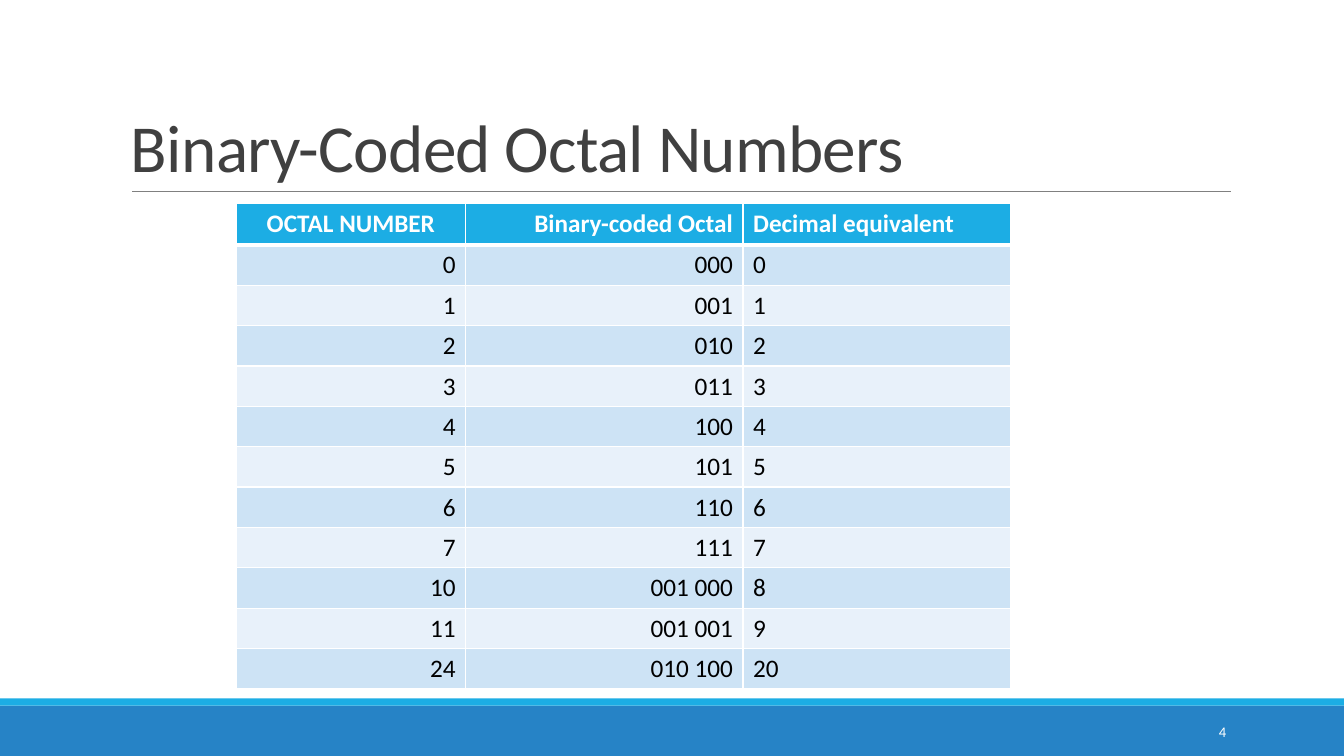
from lxml.etree import SubElement as Sub
from pptx import Presentation
from pptx.dml.color import RGBColor
from pptx.enum.shapes import MSO_CONNECTOR as Conn, MSO_SHAPE as Shape
from pptx.enum.text import MSO_ANCHOR as Anchor, PP_ALIGN as Align
from pptx.oxml.ns import qn
from pptx.util import Inches, Pt


def color(code):
    """Turn a hex string into a colour."""
    return RGBColor.from_string(code)


def write(frame, text, size=18, fill="000000", bold=False, align=Align.LEFT, space=None, lead=None):
    """Put formatted text into a text frame."""
    para = frame.paragraphs[0]
    para.alignment = align
    if lead:
        para.line_spacing = lead
    run = para.add_run()
    run.text = text
    font = run.font
    font.name, font.size, font.bold = "Calibri", Pt(size), bold
    font.color.rgb = color(fill)
    if space:
        run._r.get_or_add_rPr().set("spc", str(int(space * 100)))


def edge(cell, side, width):
    """Draw one white border of a table cell."""
    line = Sub(cell._tc.get_or_add_tcPr(), qn(f"a:ln{side}"), w=str(Pt(width)))
    Sub(Sub(line, qn("a:solidFill")), qn("a:srgbClr"), val="FFFFFF")


class Page:
    """Hold the style and the current slide."""

    blue, deep = "1CADE4", "2683C6"
    bands = "CDE3F5", "E8F1FA"

    def __init__(self, deck):
        """Add a blank slide to the deck."""
        self.shapes = deck.slides.add_slide(deck.slide_layouts[6]).shapes

    def bar(self, box, fill):
        """Add a plain filled bar."""
        bar = self.shapes.add_shape(Shape.RECTANGLE, *map(Inches, box))
        bar.shadow.inherit = False
        bar.fill.solid()
        bar.fill.fore_color.rgb = color(fill)
        bar.line.fill.background()

    def rule(self, left, right, top):
        """Add a thin grey level line."""
        line = self.shapes.add_connector(Conn.STRAIGHT, *map(Inches, (left, top, right, top)))
        line.line.color.rgb = color("808080")
        line.line.width = Pt(0.5)
        Sub(line._element.spPr, qn("a:effectLst"))

    def text(self, box, text, anchor, **form):
        """Add a wrapped text box."""
        frame = self.shapes.add_textbox(*map(Inches, box)).text_frame
        frame.word_wrap = True
        frame.vertical_anchor = anchor
        write(frame, text, **form)

    def table(self, left, top, widths, heads, rows):
        """Add a banded table under a blue head row."""
        tall = [0.41] + [0.4] * len(rows)
        box = map(Inches, (left, top, sum(widths), sum(tall)))
        grid = self.shapes.add_table(len(tall), len(widths), *box).table
        for col, width in zip(grid.columns, widths):
            col.width = Inches(width)
        for r, (height, row) in enumerate(zip(tall, [heads, *rows])):
            grid.rows[r].height = Inches(height)
            for c, word in enumerate(row):
                self.cell(grid.cell(r, c), word, r, c)

    def cell(self, cell, word, r, c):
        """Fill one table cell by its row and column."""
        head = r == 0
        for side in "LRTB":
            thick = head and side == "B" or r == 1 and side == "T"
            edge(cell, side, 3 if thick else 1)
        cell.fill.solid()
        cell.fill.fore_color.rgb = color(self.blue if head else self.bands[(r - 1) % 2])
        align = Align.LEFT if c == 2 else Align.CENTER if head and c == 0 else Align.RIGHT
        write(cell.text_frame, word, bold=head, align=align, fill="FFFFFF" if head else "000000")


def codes(num):
    """Give a number in octal, binary-coded octal and decimal."""
    octal = f"{num:o}"
    return octal, " ".join(f"{int(digit):03b}" for digit in octal), str(num)


deck = Presentation()
deck.slide_width, deck.slide_height = Inches(13.33), Inches(7.5)
page = Page(deck)
page.bar((0, 7, 13.33, 0.5), page.deep)
page.bar((0, 6.93, 13.33, 0.07), page.blue)
page.rule(1.31, 12.21, 1.9)
page.text((1.2, 0.31, 11, 1.59), "Binary-Coded Octal Numbers", Anchor.BOTTOM,
          size=48, fill="404040", space=-0.5, lead=0.85)
page.table(2.34, 2.02, (2.28, 2.75, 2.65),
           ("OCTAL NUMBER", "Binary-coded Octal", "Decimal equivalent"),
           [codes(num) for num in (*range(10), 20)])
page.text((10.83, 7.06, 1.43, 0.4), "4", Anchor.MIDDLE,
          size=10.5, fill="FFFFFF", align=Align.RIGHT)
deck.save("out.pptx")
